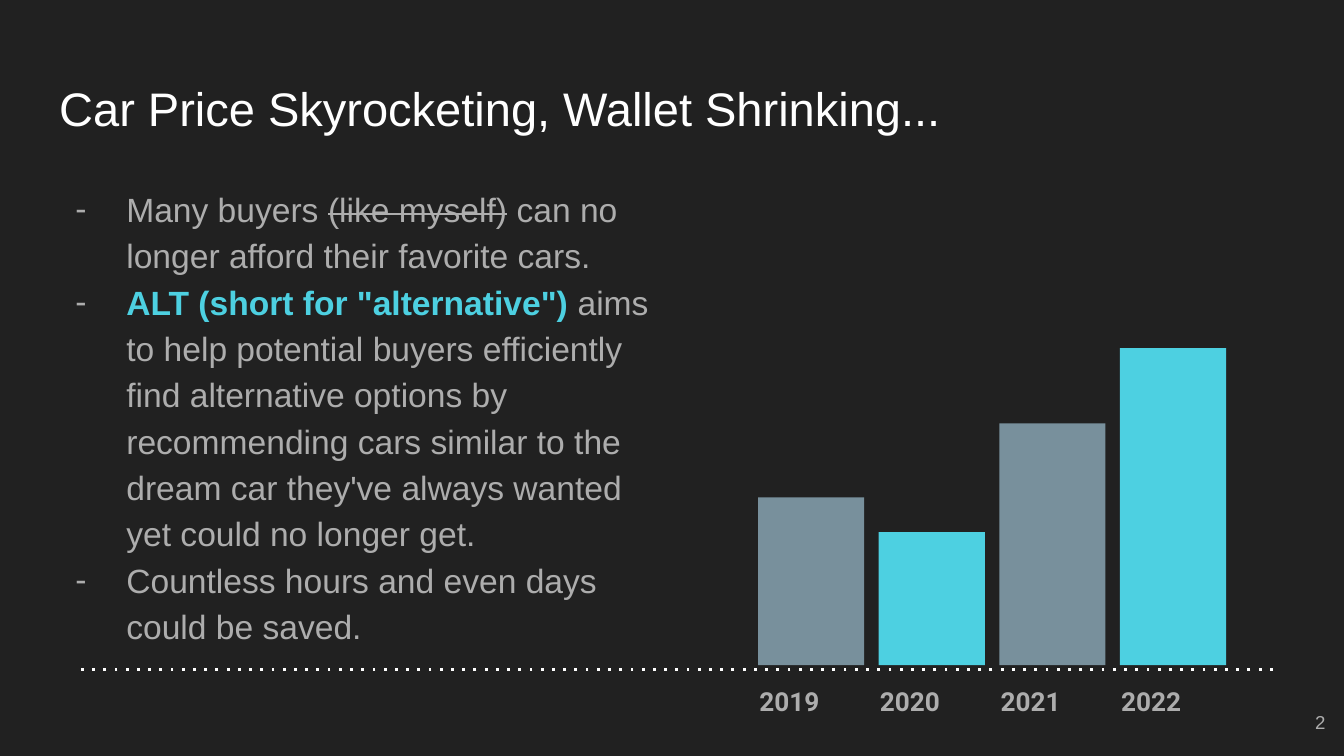
from lxml import etree
from pptx import Presentation
from pptx.dml.color import RGBColor
from pptx.enum.shapes import MSO_CONNECTOR, MSO_SHAPE
from pptx.enum.text import MSO_ANCHOR, MSO_AUTO_SIZE, PP_ALIGN
from pptx.oxml.ns import qn
from pptx.util import Inches, Pt

RECTANGLE = MSO_SHAPE.RECTANGLE
STRAIGHT = MSO_CONNECTOR.STRAIGHT
TOP, MIDDLE = MSO_ANCHOR.TOP, MSO_ANCHOR.MIDDLE
LEFT, RIGHT = PP_ALIGN.LEFT, PP_ALIGN.RIGHT
NO_AUTOFIT = MSO_AUTO_SIZE.NONE

COLORS = {"background": "212121", "white": "FFFFFF", "grey": "ADADAD",
          "slate": "78909C", "cyan": "4DD0E1"}
NO_GRID_STYLE = "{2D5ABB26-0587-4C30-8999-92F81FD0307C}"

# Content
TITLE = "Car Price Skyrocketing, Wallet Shrinking..."
POINTS = [  # each point is a list of (text, emphasis)
    [("Many buyers ", None), ("(like myself)", "strike"),
     (" can no longer afford their favorite cars.", None)],
    [("ALT (short for \"alternative\")", "highlight"),
     (" aims to help potential buyers efficiently find alternative options "
      "by recommending cars similar to the dream car they've always wanted "
      "yet could no longer get.", None)],
    [("Countless hours and even days could be saved.", None)],
]
PRICES = [  # year, bar height in inches, colour
    ("2019", 1.25, "slate"),
    ("2020", 0.99, "cyan"),
    ("2021", 1.8, "slate"),
    ("2022", 2.36, "cyan"),
]
PAGE = "2"

# Bar layout, in inches
TABLE_WIDTH = 3.59
BAR_LEFT, BAR_BOTTOM, BAR_WIDTH = 5.64, 4.95, 0.79
BAR_PITCH = TABLE_WIDTH / len(PRICES)
AXIS_Y = 4.98


def rgb(name):
    return RGBColor.from_string(COLORS[name])


def style(font, size, color, face="Arial", bold=False):
    font.size, font.name, font.bold = Pt(size), face, bold
    font.color.rgb = rgb(color)


def place(shape, left, top, width, height):
    shape.left, shape.top = Inches(left), Inches(top)
    shape.width, shape.height = Inches(width), Inches(height)


def prepare(frame, anchor):
    frame.word_wrap = True
    frame.auto_size = NO_AUTOFIT
    frame.vertical_anchor = anchor
    frame.margin_left = frame.margin_right = Inches(0.1)
    frame.margin_top = frame.margin_bottom = Inches(0.1)


def add_dash(paragraph):
    props = paragraph._p.get_or_add_pPr()
    props.set("marL", str(Inches(0.5)))
    props.set("indent", str(Inches(-0.38)))
    bullet_color = etree.SubElement(props, qn("a:buClr"))
    etree.SubElement(bullet_color, qn("a:srgbClr"), val=COLORS["grey"])
    etree.SubElement(props, qn("a:buFont"), typeface="Arial")
    etree.SubElement(props, qn("a:buChar"), char="-")


prs = Presentation()
prs.slide_width = Inches(10)
prs.slide_height = prs.slide_width * 9 // 16
slide = prs.slides.add_slide(prs.slide_layouts[1])
slide.background.fill.solid()
slide.background.fill.fore_color.rgb = rgb("background")

# Title
title = slide.shapes.title
place(title, 0.34, 0.49, 9.32, 0.63)
prepare(title.text_frame, TOP)
title.text_frame.text = TITLE
heading = title.text_frame.paragraphs[0]
heading.alignment = LEFT
style(heading.font, 25.2, "white")

# Points
body = slide.placeholders[1]
place(body, 0.34, 1.26, 4.66, 3.74)
prepare(body.text_frame, TOP)
for i, point in enumerate(POINTS):
    paragraph = (body.text_frame.add_paragraph() if i
                 else body.text_frame.paragraphs[0])
    add_dash(paragraph)
    paragraph.line_spacing = 1.15
    paragraph.space_before = paragraph.space_after = Pt(0)
    style(paragraph.font, 18, "grey")
    for text, emphasis in point:
        run = paragraph.add_run()
        run.text = text
        if emphasis == "highlight":
            run.font.bold = True
            run.font.color.rgb = rgb("cyan")
        elif emphasis == "strike":
            run.font._element.set("strike", "sngStrike")

# Year labels
years = slide.shapes.add_table(
    1, len(PRICES), Inches(5.55), Inches(AXIS_Y),
    Inches(TABLE_WIDTH), Inches(0.45)).table
years.first_row = years.horz_banding = False
years._tbl.tblPr.find(qn("a:tableStyleId")).text = NO_GRID_STYLE
for cell, (year, _, _) in zip(years.rows[0].cells, PRICES):
    cell.fill.background()
    cell.margin_left = cell.margin_right = Inches(0.1)
    cell.margin_top = cell.margin_bottom = Inches(0.1)
    cell.text = year
    label = cell.text_frame.paragraphs[0]
    label.line_spacing = 1.15
    style(label.font, 14, "grey", "Roboto", True)

# Price bars
for i, (_, height, color) in enumerate(PRICES):
    bar = slide.shapes.add_shape(
        RECTANGLE, Inches(BAR_LEFT + i * BAR_PITCH),
        Inches(BAR_BOTTOM - height), Inches(BAR_WIDTH), Inches(height))
    bar.shadow.inherit = False
    bar.fill.solid()
    bar.fill.fore_color.rgb = rgb(color)
    bar.line.fill.background()

# Dotted baseline
axis = slide.shapes.add_connector(
    STRAIGHT, Inches(9.47), Inches(AXIS_Y), Inches(0.56), Inches(AXIS_Y))
axis.line.color.rgb = rgb("white")
axis.line.width = Pt(1.5)
axis_props = axis._element.spPr
etree.SubElement(axis_props.find(qn("a:ln")), qn("a:prstDash"), val="dot")
etree.SubElement(axis_props, qn("a:effectLst"))

# Page number
page = slide.shapes.add_textbox(
    Inches(9.36), Inches(5.16), Inches(0.6), Inches(0.43))
prepare(page.text_frame, MIDDLE)
page.text_frame.text = PAGE
number = page.text_frame.paragraphs[0]
number.alignment = RIGHT
style(number.font, 10, "grey")

prs.save("out.pptx")
